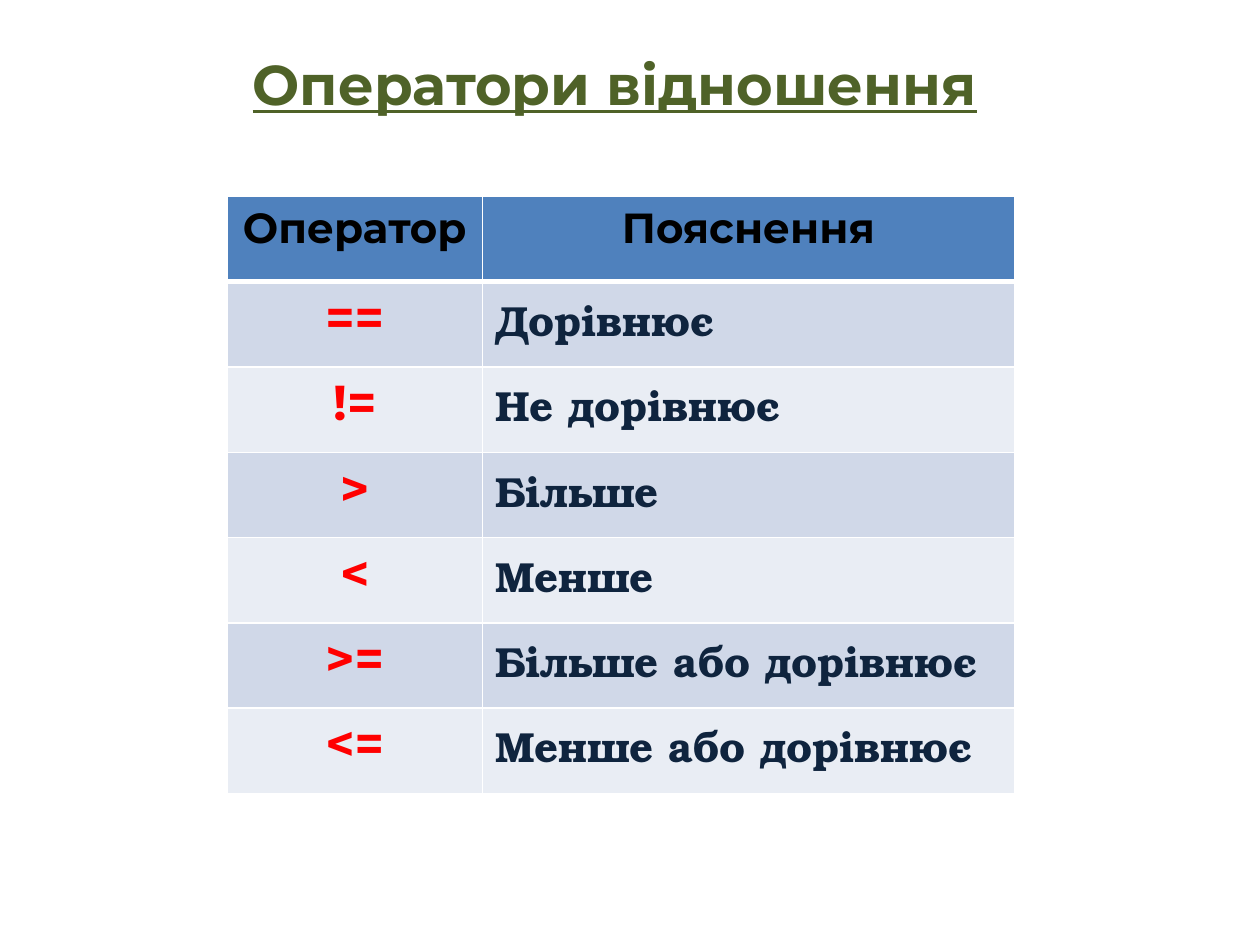
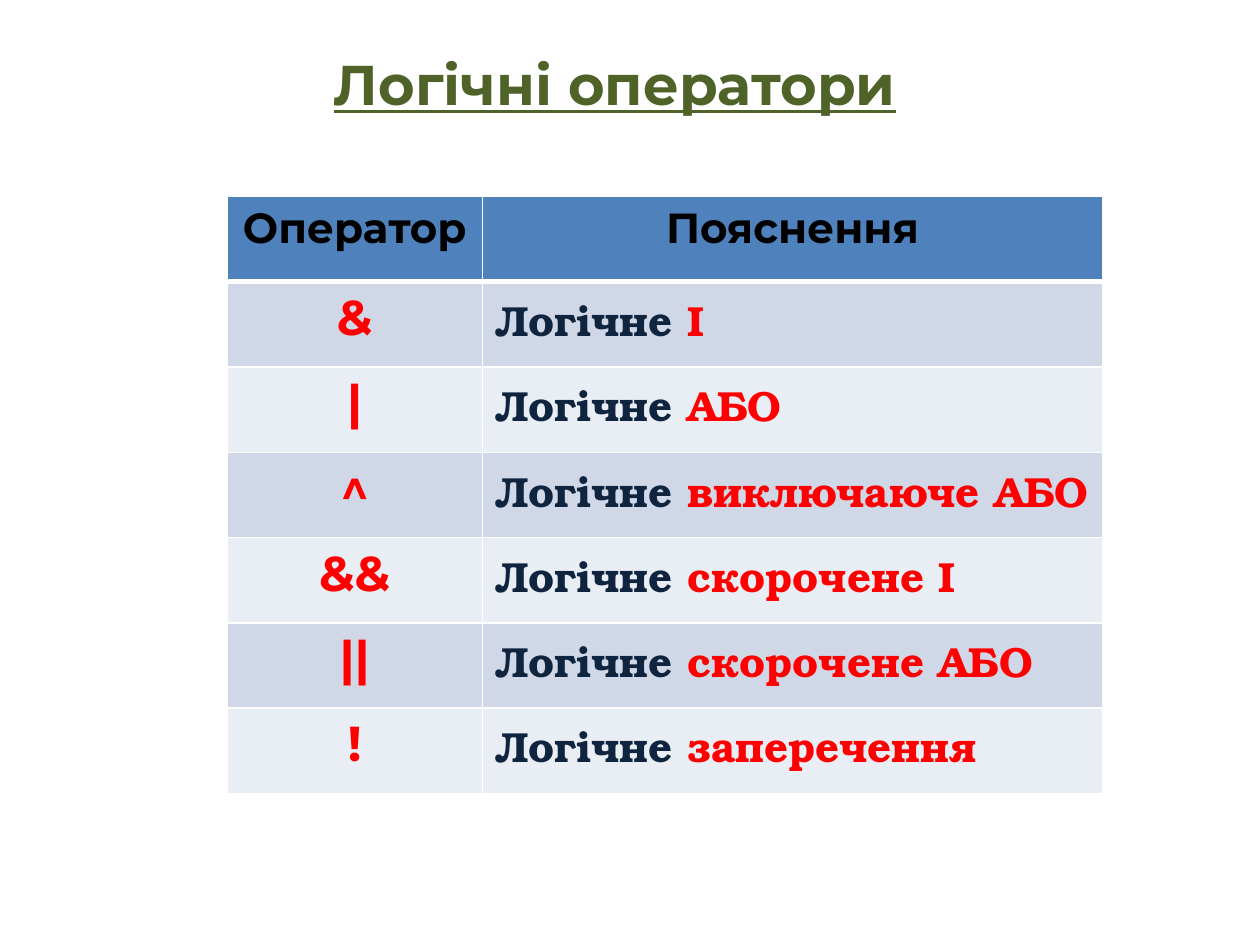
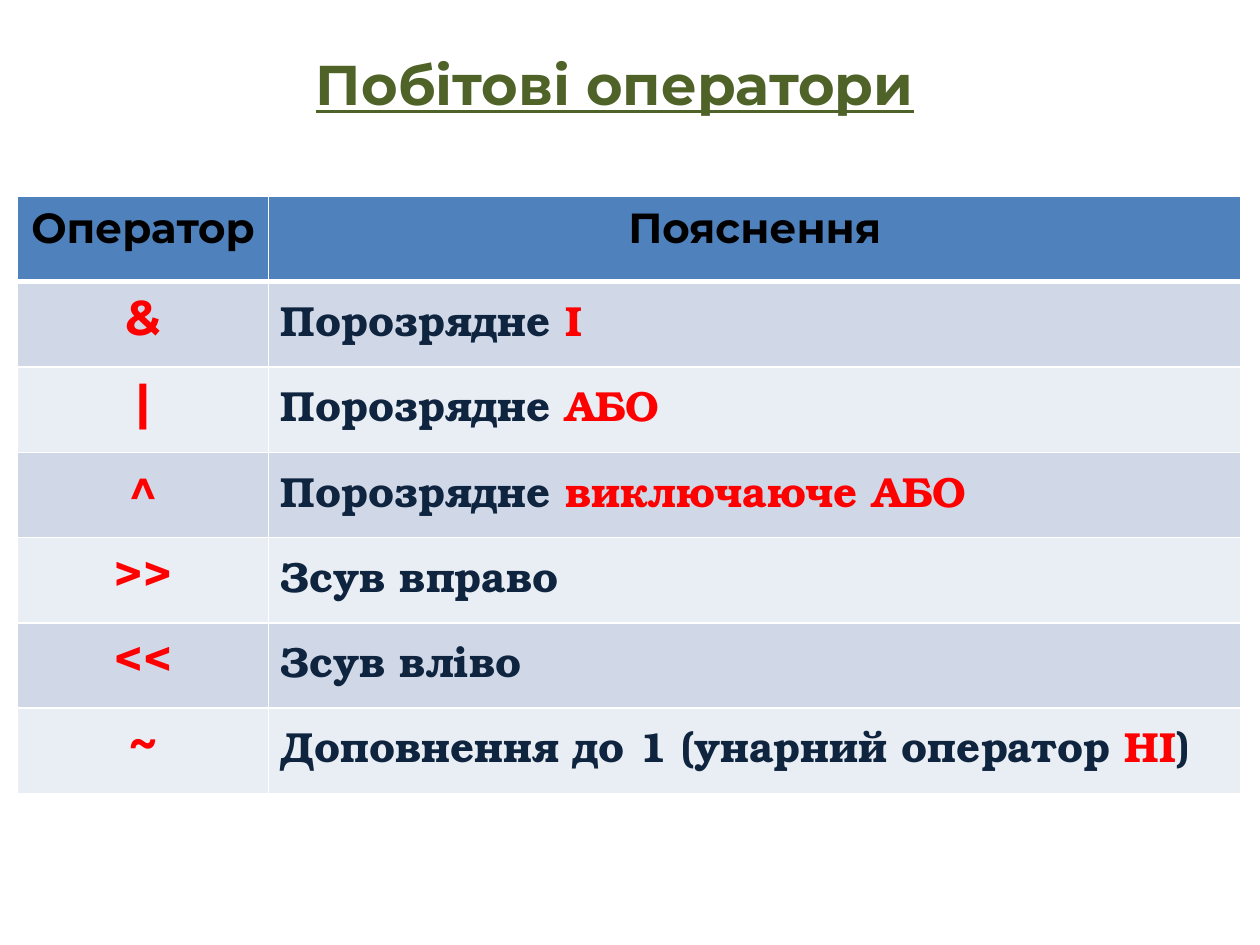
from lxml import etree
from pptx import Presentation
from pptx import util as u
from pptx.dml.color import RGBColor
from pptx.enum import text
from pptx.oxml import ns

# Content: words between asterisks are highlighted
HEADINGS = ("Оператор", "Пояснення")
TOPICS = [
    {"title": "Оператори відношення", "left": 1.8, "columns": (2.03, 4.22), "operators": [
        ("==", "Дорівнює"),
        ("!=", "Не дорівнює"),
        (">", "Більше"),
        ("<", "Менше"),
        (">=", "Більше або дорівнює"),
        ("<=", "Менше або дорівнює"),
    ]},
    {"title": "Логічні оператори", "left": 1.8, "columns": (2.03, 4.92), "operators": [
        ("&", "Логічне *І*"),
        ("|", "Логічне *АБО*"),
        ("^", "Логічне *виключаюче АБО*"),
        ("&&", "Логічне *скорочене І*"),
        ("||", "Логічне *скорочене АБО*"),
        ("!", "Логічне *заперечення*"),
    ]},
    {"title": "Побітові оператори", "left": 0.14, "columns": (1.99, 7.72), "operators": [
        ("&", "Порозрядне *І*"),
        ("|", "Порозрядне *АБО*"),
        ("^", "Порозрядне *виключаюче АБО*"),
        (">>", "Зсув вправо"),
        ("<<", "Зсув вліво"),
        ("~", "Доповнення до 1 (унарний оператор *НІ*)"),
    ]},
]

# Shared look
COLORS = {"title": "4F6228", "heading": "000000", "symbol": "FF0000",
          "explanation": "0F243E", "highlight": "FF0000", "header": "4F81BD",
          "odd": "D0D8E8", "even": "E9EDF4", "border": "FFFFFF"}
FONTS = {
    "title": {"name": "Montserrat", "size": u.Pt(32), "bold": True, "underline": True},
    "heading": {"name": "Montserrat", "size": u.Pt(24), "bold": True},
    "symbol": {"name": "Montserrat", "size": u.Pt(28), "bold": True},
    "explanation": {"name": "TeX Gyre Bonum", "size": u.Pt(24), "bold": True},
}
TITLE_BOX = (1.64, 0.23, 6.48, 0.86)
TABLE_TOP, TABLE_HEIGHT = 1.56, 4.74


def write(frame, words, style):
    paragraph = frame.paragraphs[0]
    left_aligned = style == "explanation"
    paragraph.alignment = text.PP_ALIGN.LEFT if left_aligned else text.PP_ALIGN.CENTER
    for index, part in enumerate(words.split("*")):
        if not part:
            continue
        run = paragraph.add_run()
        run.text = part
        for attribute, value in FONTS[style].items():
            setattr(run.font, attribute, value)
        color = COLORS["highlight" if index % 2 else style]
        run.font.color.rgb = RGBColor.from_string(color)


def add_borders(cell, widths):
    properties = cell._tc.get_or_add_tcPr()
    for position, (side, width) in enumerate(widths.items()):
        line = etree.Element(ns.qn(f"a:ln{side}"), w=str(u.Pt(width)))
        fill = etree.SubElement(line, ns.qn("a:solidFill"))
        etree.SubElement(fill, ns.qn("a:srgbClr"), val=COLORS["border"])
        properties.insert(position, line)


def add_title(slide, words):
    frame = slide.shapes.add_textbox(*map(u.Inches, TITLE_BOX)).text_frame
    frame.word_wrap = True
    frame.vertical_anchor = text.MSO_ANCHOR.MIDDLE
    write(frame, words, "title")


def add_operators(slide, topic):
    rows = [HEADINGS] + topic["operators"]
    widths = topic["columns"]
    box = (topic["left"], TABLE_TOP, sum(widths), TABLE_HEIGHT)
    table = slide.shapes.add_table(len(rows), len(widths), *map(u.Inches, box)).table
    for column, width in zip(table.columns, widths):
        column.width = u.Inches(width)
    for r, row in enumerate(rows):
        table.rows[r].height = u.Inches(TABLE_HEIGHT / len(rows))
        band = "header" if r == 0 else "odd" if r % 2 else "even"
        styles = ("symbol", "explanation") if r else ("heading", "heading")
        for c, (words, style) in enumerate(zip(row, styles)):
            cell = table.cell(r, c)
            cell.fill.solid()
            cell.fill.fore_color.rgb = RGBColor.from_string(COLORS[band])
            # The rule under the header is thicker
            add_borders(cell, {"L": 1, "R": 1, "T": 3 if r == 1 else 1, "B": 1 if r else 3})
            if style == "explanation":
                cell.margin_right = u.Inches(0.05)
            write(cell.text_frame, words, style)


# Slides
deck = Presentation()
deck.slide_width, deck.slide_height = u.Inches(10), u.Inches(7.5)
for topic in TOPICS:
    slide = deck.slides.add_slide(deck.slide_layouts[6])
    add_title(slide, topic["title"])
    add_operators(slide, topic)
deck.save("out.pptx")
